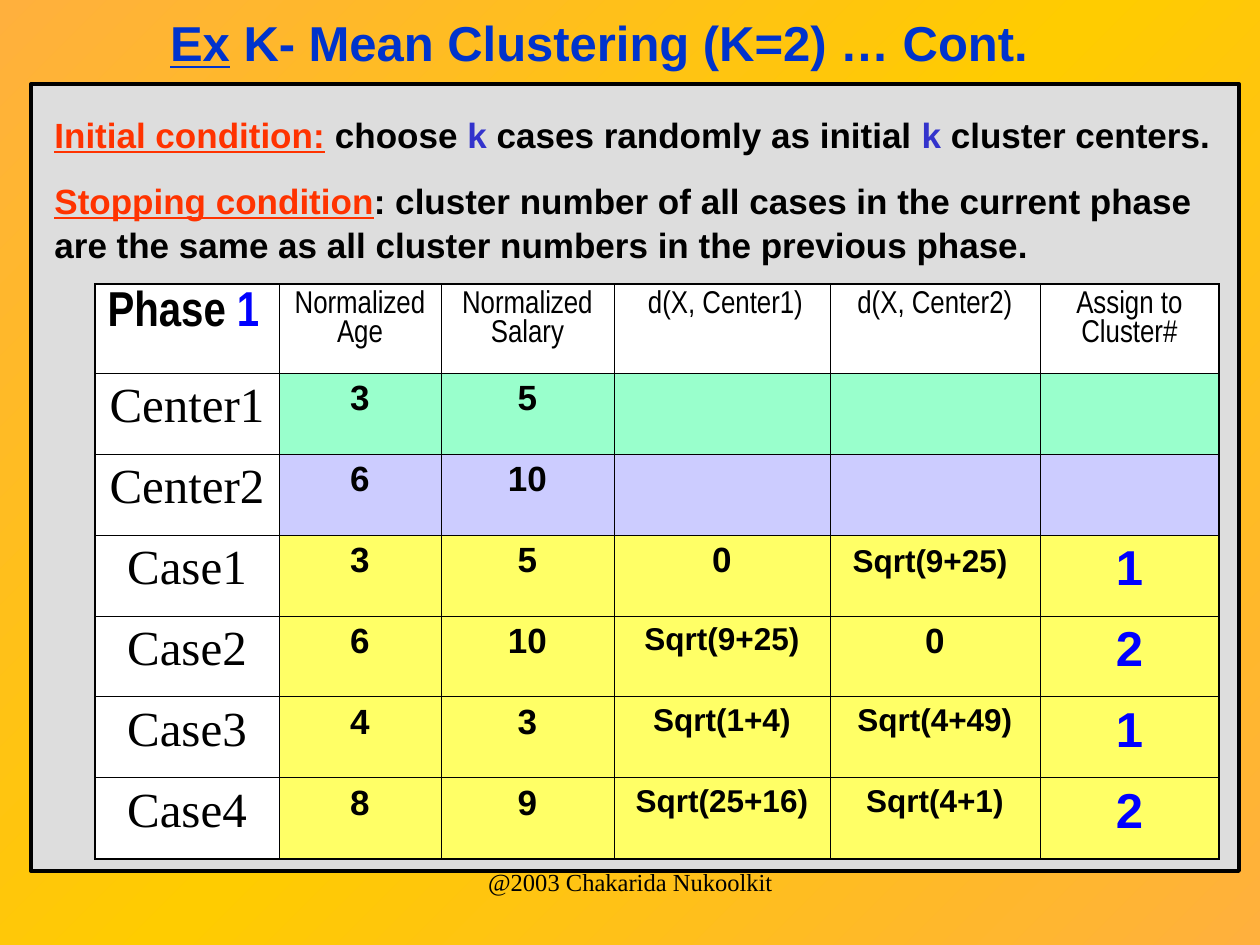
from copy import deepcopy

from lxml.etree import SubElement
from pptx import Presentation
from pptx.dml.color import RGBColor
from pptx.enum.shapes import MSO_SHAPE
from pptx.enum.text import MSO_ANCHOR, MSO_AUTO_SIZE, PP_ALIGN
from pptx.oxml.ns import qn
from pptx.util import Emu, Pt

PX = 914400 / 126  # EMU in one px

BLACK = RGBColor(0x00, 0x00, 0x00)
WHITE = RGBColor(0xFF, 0xFF, 0xFF)
GREY = RGBColor(0xDD, 0xDD, 0xDD)
ORANGE = RGBColor(0xFF, 0xB0, 0x3D)
GOLD = RGBColor(0xFF, 0xCC, 0x00)
TITLE_BLUE = RGBColor(0x00, 0x33, 0xCC)
K_BLUE = RGBColor(0x33, 0x33, 0xCC)
BLUE = RGBColor(0x00, 0x00, 0xFF)
RED = RGBColor(0xFF, 0x33, 0x00)
GREEN = RGBColor(0x99, 0xFF, 0xCC)
LILAC = RGBColor(0xCC, 0xCC, 0xFF)
YELLOW = RGBColor(0xFF, 0xFF, 0x66)

SERIF, NARROW = "Times New Roman", "Arial Narrow"
CENTER = PP_ALIGN.CENTER

COL_WIDTHS = [184, 162, 173, 216, 210, 179]
ROW_HEIGHTS = [89] + [81] * 6
HEADERS = ["Normalized Age", "Normalized Salary", " d(X, Center1)",
           "d(X, Center2)", "Assign to Cluster#"]
ROWS = [
    (GREEN, ["Center1", "3", "5", "", "", ""]),
    (LILAC, ["Center2", "6", "10", "", "", ""]),
    (YELLOW, ["Case1", "3", "5", "0", "Sqrt(9+25) ", "1"]),
    (YELLOW, ["Case2", "6", "10", "Sqrt(9+25)", "0", "2"]),
    (YELLOW, ["Case3", "4", "3", "Sqrt(1+4)", "Sqrt(4+49)", "1"]),
    (YELLOW, ["Case4", "8", "9", "Sqrt(25+16)", "Sqrt(4+1)", "2"]),
]


def px(*lengths):
    return [Emu(round(n * PX)) for n in lengths]


def add_run(p, text, size=20, font="Arial", color=BLACK, bold=True, underline=False):
    r = p.add_run()
    r.text = text
    f = r.font
    f.size, f.name, f.bold, f.underline = Pt(size), font, bold, underline
    f.color.rgb = color


def set_background(s):
    fill = s.background.fill
    fill.gradient()
    fill.gradient_angle = 315
    stops = s.element.find(".//" + qn("a:gsLst"))
    stops.insert(1, deepcopy(stops[0]))
    for stop, pos, color in zip(fill.gradient_stops, (0, 0.5, 1), (ORANGE, GOLD, ORANGE)):
        stop.position = pos
        stop.color.rgb = color


def add_panel(s):
    sp = s.shapes.add_shape(MSO_SHAPE.RECTANGLE, *px(31, 84, 1208, 787))
    sp.shadow.inherit = False
    sp.fill.solid()
    sp.fill.fore_color.rgb = GREY
    sp.line.color.rgb = BLACK
    sp.line.width = Pt(2.25)


def set_title(s):
    title = s.shapes.title
    title.left, title.top, title.width, title.height = px(84, 0, 1030, 84)
    tf = title.text_frame
    tf.word_wrap = True
    tf.auto_size = MSO_AUTO_SIZE.NONE
    tf.vertical_anchor = MSO_ANCHOR.MIDDLE
    p = tf.paragraphs[0]
    p.alignment = CENTER
    add_run(p, "Ex", size=28, color=TITLE_BLUE, underline=True)
    add_run(p, " K- Mean Clustering (K=2) … Cont.", size=28, color=TITLE_BLUE)


def add_textbox(s, *box):
    tf = s.shapes.add_textbox(*px(*box)).text_frame
    tf.word_wrap = True
    return tf


def add_conditions(s):
    tf = add_textbox(s, 42, 105, 1218, 161)
    p = tf.paragraphs[0]
    p.line_spacing = 1.05
    add_run(p, "Initial condition:", color=RED, underline=True)
    for text, color in [(" choose ", BLACK), ("k", K_BLUE),
                        (" cases randomly as initial ", BLACK), ("k", K_BLUE),
                        (" cluster centers.", BLACK)]:
        add_run(p, text, color=color)
    p = tf.add_paragraph()
    p.line_spacing = 1.05
    p.space_before = Pt(12.5)
    add_run(p, "Stopping condition", color=RED, underline=True)
    add_run(p, ": cluster number of all cases in the current phase are the same "
               "as all cluster numbers in the previous phase.")


def set_borders(cell, outer):
    """Draw the four cell borders, thicker on the sides named in outer."""
    tc_pr = cell._tc.get_or_add_tcPr()
    for i, side in enumerate("LRTB"):
        width = Pt(1.08 if side in outer else 0.45)
        ln = tc_pr.makeelement(qn("a:ln" + side), {"w": str(int(width))})
        fill = SubElement(ln, qn("a:solidFill"))
        SubElement(fill, qn("a:srgbClr"), val=str(BLACK))
        tc_pr.insert(i, ln)


def style_cell(cell, row, col, fill):
    cell.fill.solid()
    cell.fill.fore_color.rgb = fill
    edges = {"L": col == 0, "R": col == len(COL_WIDTHS) - 1,
             "T": row == 0, "B": row == len(ROW_HEIGHTS) - 1}
    set_borders(cell, [side for side, is_outer in edges.items() if is_outer])


def value_format(col, text):
    if col == 0:
        return dict(size=28, font=SERIF, bold=False)
    if col == len(COL_WIDTHS) - 1:
        return dict(size=28, color=BLUE)
    return dict(size=18 if text.startswith("Sqrt") else 20)


def add_phase_table(s):
    frame = s.shapes.add_table(len(ROW_HEIGHTS), len(COL_WIDTHS),
                               *px(95, 284, sum(COL_WIDTHS), sum(ROW_HEIGHTS)))
    table = frame.table
    table.first_row = table.horz_banding = False
    for column, width in zip(table.columns, px(*COL_WIDTHS)):
        column.width = width
    for row, height in zip(table.rows, px(*ROW_HEIGHTS)):
        row.height = height

    # Header row
    corner = table.cell(0, 0)
    style_cell(corner, 0, 0, WHITE)
    p = corner.text_frame.paragraphs[0]
    add_run(p, "Phase ", size=28, font=NARROW)
    add_run(p, "1", size=28, font=NARROW, color=BLUE)
    for c, text in enumerate(HEADERS, 1):
        cell = table.cell(0, c)
        style_cell(cell, 0, c, WHITE)
        p = cell.text_frame.paragraphs[0]
        p.alignment = CENTER
        add_run(p, text, size=18, font=NARROW, bold=False)

    # Centers and cases
    for r, (fill, values) in enumerate(ROWS, 1):
        for c, text in enumerate(values):
            cell = table.cell(r, c)
            style_cell(cell, r, c, WHITE if c == 0 else fill)
            if text:
                p = cell.text_frame.paragraphs[0]
                p.alignment = CENTER
                add_run(p, text.rstrip(), **value_format(c, text))
                if text.endswith(" "):
                    add_run(p, " ")


def add_footer(s):
    p = add_textbox(s, 431, 861, 399, 63).paragraphs[0]
    p.alignment = CENTER
    add_run(p, "@2003 Chakarida Nukoolkit", size=14, font=SERIF, bold=False)


def main():
    prs = Presentation()
    prs.slide_width, prs.slide_height = px(1260, 945)
    s = prs.slides.add_slide(prs.slide_layouts[5])
    set_background(s)
    add_panel(s)
    set_title(s)
    add_phase_table(s)
    add_conditions(s)
    add_footer(s)
    prs.save("out.pptx")


if __name__ == "__main__":
    main()
